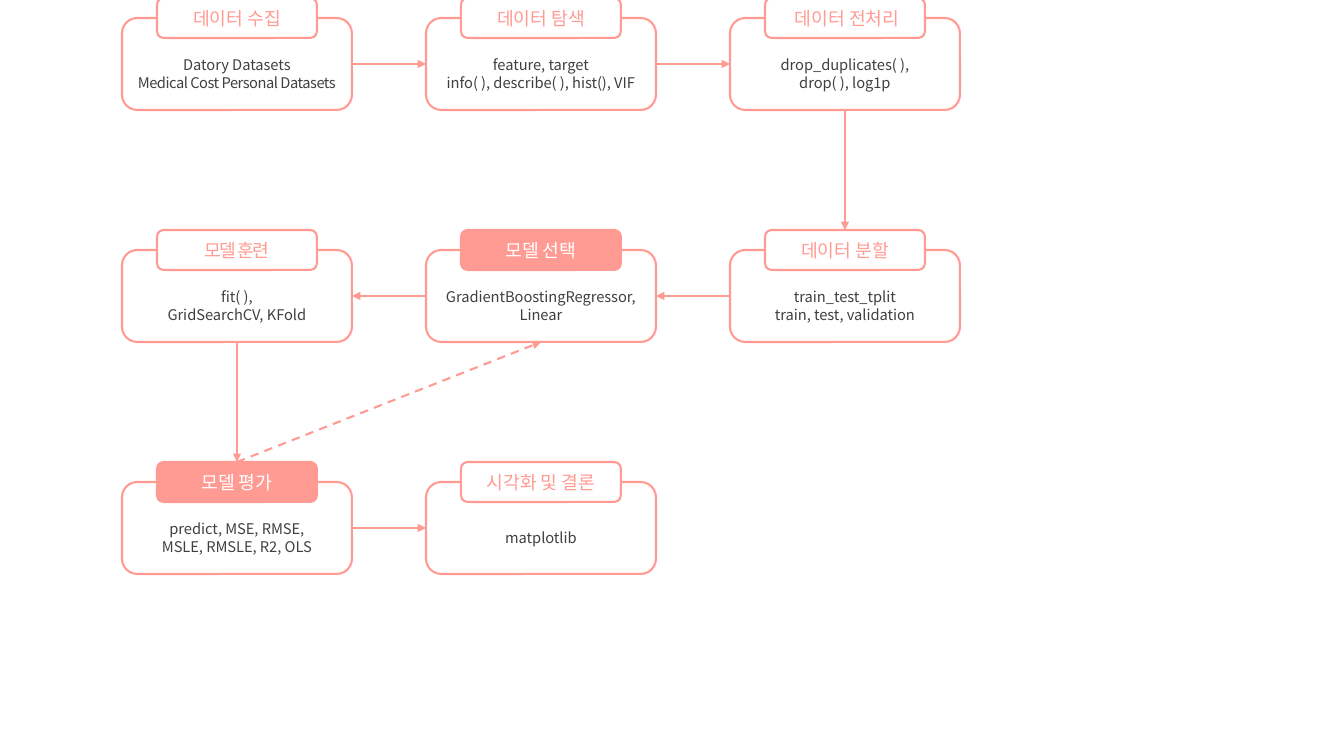
from lxml import etree
from pptx import Presentation
from pptx import util as u
from pptx.dml.color import RGBColor
from pptx.enum import dml, shapes, text
from pptx.oxml.ns import qn

PX = 914400 / 100.8
CORAL = RGBColor(0xFF, 0x9B, 0x93)
WHITE = RGBColor(0xFF, 0xFF, 0xFF)
GREY = RGBColor(0x40, 0x40, 0x40)
FONT = "Noto Sans CJK KR"
LINE_WIDTH = u.Pt(1.5)
TOP, LEFT, BOTTOM, RIGHT = range(4)

# Flow grid, in px
GRID_LEFT, GRID_TOP = 122, 18
COLUMN_STEP, ROW_STEP = 304, 232
BOX_WIDTH, BOX_HEIGHT = 230, 92
TAB_WIDTH, TAB_HEIGHT = 160, 40
DETAIL_PITCH = 18

# key: column, row, heading, details, highlighted
STEPS = {
    "collect": (0, 0, "데이터 수집", ["Datory Datasets", "Medical Cost Personal Datasets"], False),
    "explore": (1, 0, "데이터 탐색", ["feature, target", "info( ), describe( ), hist(), VIF"], False),
    "prepare": (2, 0, " 데이터 전처리", ["drop_duplicates( ),", "drop( ), log1p"], False),
    "split": (2, 1, "데이터 분할", ["train_test_tplit", "train, test, validation"], False),
    "select": (1, 1, "모델 선택", ["GradientBoostingRegressor,", "Linear"], True),
    "train": (0, 1, "모델 훈련", ["fit( ),", "GridSearchCV, KFold"], False),
    "evaluate": (0, 2, "모델 평가", ["predict, MSE, RMSE,", "MSLE, RMSLE, R2, OLS"], True),
    "conclude": (1, 2, "시각화 및 결론", ["matplotlib"], False),
}
# Letter spacing in hundredths of a point
TIGHT = {"Medical Cost Personal Datasets": -30, "모델 훈련": -100}

# start step, part and side; end step, part and side; dashed
ARROWS = [
    ("collect", "box", RIGHT, "explore", "box", LEFT, False),
    ("explore", "box", RIGHT, "prepare", "box", LEFT, False),
    ("prepare", "box", BOTTOM, "split", "tab", TOP, False),
    ("split", "box", LEFT, "select", "box", RIGHT, False),
    ("select", "box", LEFT, "train", "box", RIGHT, False),
    ("train", "box", BOTTOM, "evaluate", "tab", TOP, False),
    ("evaluate", "box", RIGHT, "conclude", "box", LEFT, False),
    ("evaluate", "tab", TOP, "select", "box", BOTTOM, True),
]


def px(length):
    return u.Emu(round(length * PX))


def write_lines(frame, lines, size, color, pitch=None, top_inset=0):
    frame_format = {
        "margin_left": 0, "margin_right": 0, "margin_bottom": 0,
        "margin_top": px(top_inset), "word_wrap": True,
        "vertical_anchor": text.MSO_ANCHOR.MIDDLE,
    }
    for name, value in frame_format.items():
        setattr(frame, name, value)
    for index, line in enumerate(lines):
        paragraph = frame.add_paragraph() if index else frame.paragraphs[0]
        paragraph.alignment = text.PP_ALIGN.CENTER
        if pitch:
            paragraph.line_spacing = px(pitch)
        run = paragraph.add_run()
        run.text = line
        for name, value in {"name": FONT, "size": u.Pt(size)}.items():
            setattr(run.font, name, value)
        run.font.color.rgb = color
        properties = run._r.get_or_add_rPr()
        etree.SubElement(properties, qn("a:ea"), typeface=FONT)
        if line in TIGHT:
            properties.set("spc", str(TIGHT[line]))


def add_rounded(slide, left, top, width, height, fill):
    rounded = slide.shapes.add_shape(
        shapes.MSO_SHAPE.ROUNDED_RECTANGLE, *map(px, (left, top, width, height)))
    rounded.shadow.inherit = False
    rounded.fill.solid()
    rounded.fill.fore_color.rgb = fill
    rounded.line.color.rgb = CORAL
    rounded.line.width = LINE_WIDTH
    return rounded


def add_step(slide, left, top, heading, details, highlighted):
    """Detail box with its heading tab centred on the top edge."""
    box = add_rounded(slide, left, top, BOX_WIDTH, BOX_HEIGHT, WHITE)
    write_lines(box.text_frame, details, 10.5, GREY, DETAIL_PITCH, DETAIL_PITCH)
    tab_fill, heading_color = (CORAL, WHITE) if highlighted else (WHITE, CORAL)
    tab = add_rounded(slide, left + (BOX_WIDTH - TAB_WIDTH) // 2,
                      top - TAB_HEIGHT // 2, TAB_WIDTH, TAB_HEIGHT, tab_fill)
    write_lines(tab.text_frame, [heading], 13, heading_color)
    return {"box": box, "tab": tab}


def add_arrow(slide, start, start_side, end, end_side, dashed):
    arrow = slide.shapes.add_connector(shapes.MSO_CONNECTOR.STRAIGHT, 0, 0, 0, 0)
    arrow.begin_connect(start, start_side)
    arrow.end_connect(end, end_side)
    arrow.line.color.rgb = CORAL
    arrow.line.width = LINE_WIDTH
    if dashed:
        arrow.line.dash_style = dml.MSO_LINE.DASH
    etree.SubElement(arrow.line._get_or_add_ln(), qn("a:tailEnd"), type="triangle")
    etree.SubElement(arrow._element.spPr, qn("a:effectLst"))


def add_flow(slide, left, top):
    steps = {}
    for key, (column, row, *content) in STEPS.items():
        steps[key] = add_step(slide, left + column * COLUMN_STEP,
                              top + row * ROW_STEP, *content)
    for start, start_part, start_side, end, end_part, end_side, dashed in ARROWS:
        add_arrow(slide, steps[start][start_part], start_side,
                  steps[end][end_part], end_side, dashed)


def main():
    deck = Presentation()
    deck.slide_width, deck.slide_height = px(1344), px(756)
    slide = deck.slides.add_slide(deck.slide_layouts[6])
    add_flow(slide, GRID_LEFT, GRID_TOP)
    deck.save("out.pptx")


if __name__ == "__main__":
    main()
